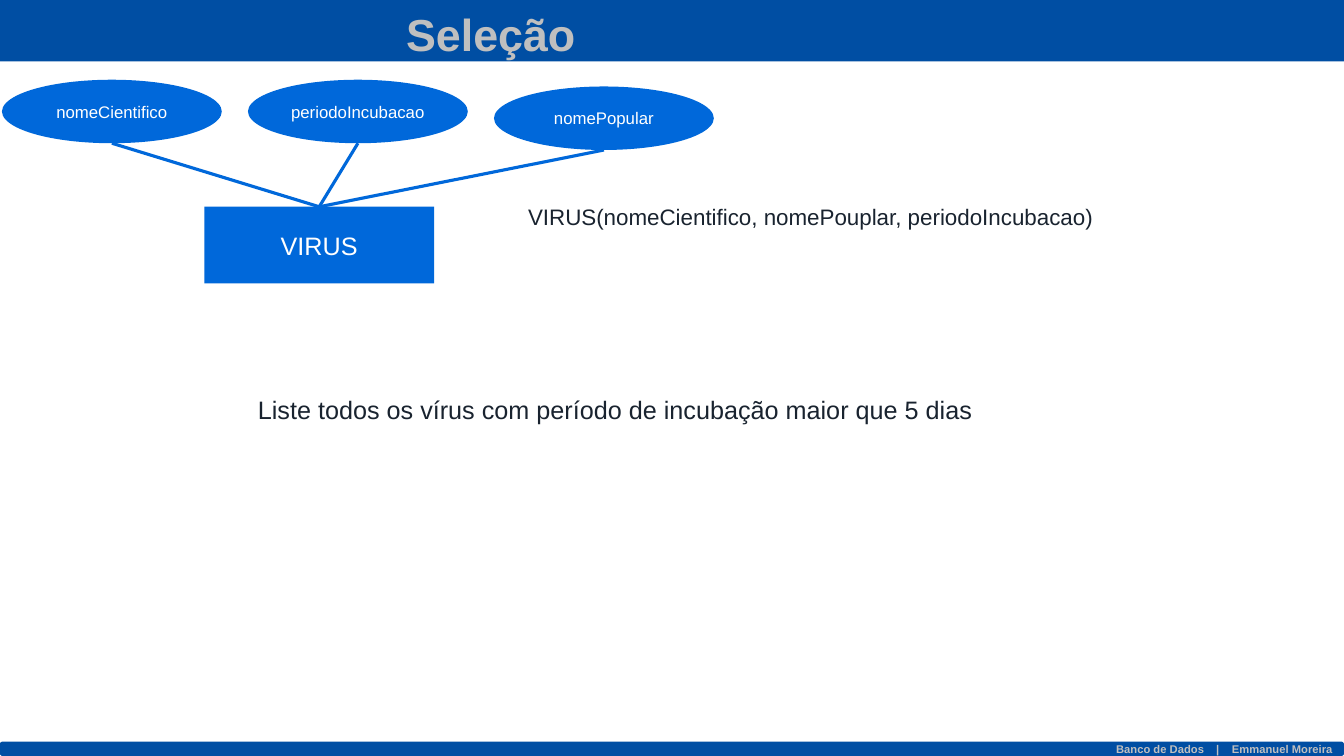
from dataclasses import dataclass

from lxml import etree
from pptx import Presentation
from pptx.dml.color import RGBColor
from pptx.enum.shapes import MSO_CONNECTOR, MSO_SHAPE
from pptx.enum.text import MSO_ANCHOR, PP_ALIGN
from pptx.oxml.ns import qn
from pptx.util import Cm, Pt

RECTANGLE = MSO_SHAPE.RECTANGLE
ROUNDED = MSO_SHAPE.ROUNDED_RECTANGLE
OVAL = MSO_SHAPE.OVAL
STRAIGHT = MSO_CONNECTOR.STRAIGHT
LEFT, CENTER = PP_ALIGN.LEFT, PP_ALIGN.CENTER
TOP, MIDDLE = MSO_ANCHOR.TOP, MSO_ANCHOR.MIDDLE

TITLE = "Seleção"
ENTITY = "VIRUS"
ATTRIBUTES = [
    ("nomeCientifico", 2.01),
    ("periodoIncubacao", 2.01),
    ("nomePopular", 2.18),
]
STATEMENTS = [
    ("Liste todos os vírus com período de incubação maior que 5 dias", 18, (6.25, 9.8, 18.67, 1.8)),
    ("VIRUS(nomeCientifico, nomePouplar, periodoIncubacao)", 16, (13.06, 5, 16.94, 0.94)),
]
FOOTER = ["Banco de Dados", "|", "Emmanuel Moreira"]


@dataclass(frozen=True)
class Theme:
    font: str = "Arial"
    band: str = "004EA3"
    node: str = "0068DA"
    ink: str = "19232F"
    muted: str = "BFBFBF"
    light: str = "FFFFFF"
    title_size: int = 32
    entity_size: int = 18
    attribute_size: int = 12
    footer_size: int = 8
    line_width: float = 2.25


THEME = Theme()
PAGE_WIDTH, PAGE_HEIGHT = 33.87, 19.05
HEADER_HEIGHT, FOOTER_HEIGHT = 1.55, 0.36
FOOTER_START, FOOTER_TABS = 28.11, (2.52, 2.92)
TITLE_FRAME = (9.98, 0.03, 4.83, 1.63)
ENTITY_FRAME = (5.15, 5.21, 5.79, 1.93)
OVAL_LEFT, OVAL_PITCH, OVAL_WIDTH, OVAL_HEIGHT = 0.05, 6.2, 5.54, 1.6


def lengths(frame):
    return [Cm(value) for value in frame]


def write(box, text, size, color, bold=False, align=LEFT, anchor=TOP):
    frame = box.text_frame
    frame.vertical_anchor = anchor
    para = frame.paragraphs[0]
    para.alignment = align
    span = para.add_run()
    span.text = text
    span.font.name = THEME.font
    span.font.size = Pt(size)
    span.font.bold = bold
    span.font.color.rgb = RGBColor.from_string(color)


def add_block(page, kind, frame, color):
    block = page.shapes.add_shape(kind, *lengths(frame))
    block.shadow.inherit = False
    block.fill.solid()
    block.fill.fore_color.rgb = RGBColor.from_string(color)
    block.line.fill.background()
    return block


def add_footer(page):
    frame = (0, PAGE_HEIGHT - FOOTER_HEIGHT, PAGE_WIDTH, FOOTER_HEIGHT)
    footer = add_block(page, ROUNDED, frame, THEME.band)
    area = footer.text_frame
    area.margin_top = area.margin_bottom = area.margin_right = 0
    area.margin_left = Cm(FOOTER_START)
    area.word_wrap = False
    stops = etree.SubElement(area.paragraphs[0]._p.get_or_add_pPr(), qn("a:tabLst"))
    for position in FOOTER_TABS:
        etree.SubElement(stops, qn("a:tab"), pos=str(Cm(position)), algn="l")
    write(footer, "\t".join(FOOTER), THEME.footer_size, THEME.muted, True, anchor=MIDDLE)


def add_title(page):
    title = page.shapes.title
    title.left, title.top, title.width, title.height = lengths(TITLE_FRAME)
    title.text_frame.word_wrap = False
    write(title, TITLE, THEME.title_size, THEME.muted, True)
    title.element.getparent().append(title.element)


def add_statement(page, text, size, frame):
    box = page.shapes.add_textbox(*lengths(frame))
    box.text_frame.word_wrap = True
    write(box, text, size, THEME.ink)


def add_link(page, entity, attribute):
    link = page.shapes.add_connector(
        STRAIGHT,
        entity.left + entity.width // 2,
        entity.top,
        attribute.left + attribute.width // 2,
        attribute.top + attribute.height,
    )
    link.line.color.rgb = RGBColor.from_string(THEME.node)
    link.line.width = Pt(THEME.line_width)
    etree.SubElement(link.element.spPr, qn("a:effectLst"))


def add_diagram(page):
    entity = add_block(page, RECTANGLE, ENTITY_FRAME, THEME.node)
    write(entity, ENTITY, THEME.entity_size, THEME.light, align=CENTER, anchor=MIDDLE)
    for index, (name, top) in enumerate(ATTRIBUTES):
        frame = (OVAL_LEFT + index * OVAL_PITCH, top, OVAL_WIDTH, OVAL_HEIGHT)
        attribute = add_block(page, OVAL, frame, THEME.node)
        attribute.text_frame.word_wrap = False
        write(attribute, name, THEME.attribute_size, THEME.light, align=CENTER, anchor=MIDDLE)
        add_link(page, entity, attribute)


def main():
    deck = Presentation()
    deck.slide_width, deck.slide_height = Cm(PAGE_WIDTH), Cm(PAGE_HEIGHT)
    page = deck.slides.add_slide(deck.slide_layouts.get_by_name("Title Only"))
    add_footer(page)
    add_block(page, RECTANGLE, (0, 0, PAGE_WIDTH, HEADER_HEIGHT), THEME.band)
    add_title(page)
    for text, size, frame in STATEMENTS:
        add_statement(page, text, size, frame)
    add_diagram(page)
    deck.save("out.pptx")


if __name__ == "__main__":
    main()
